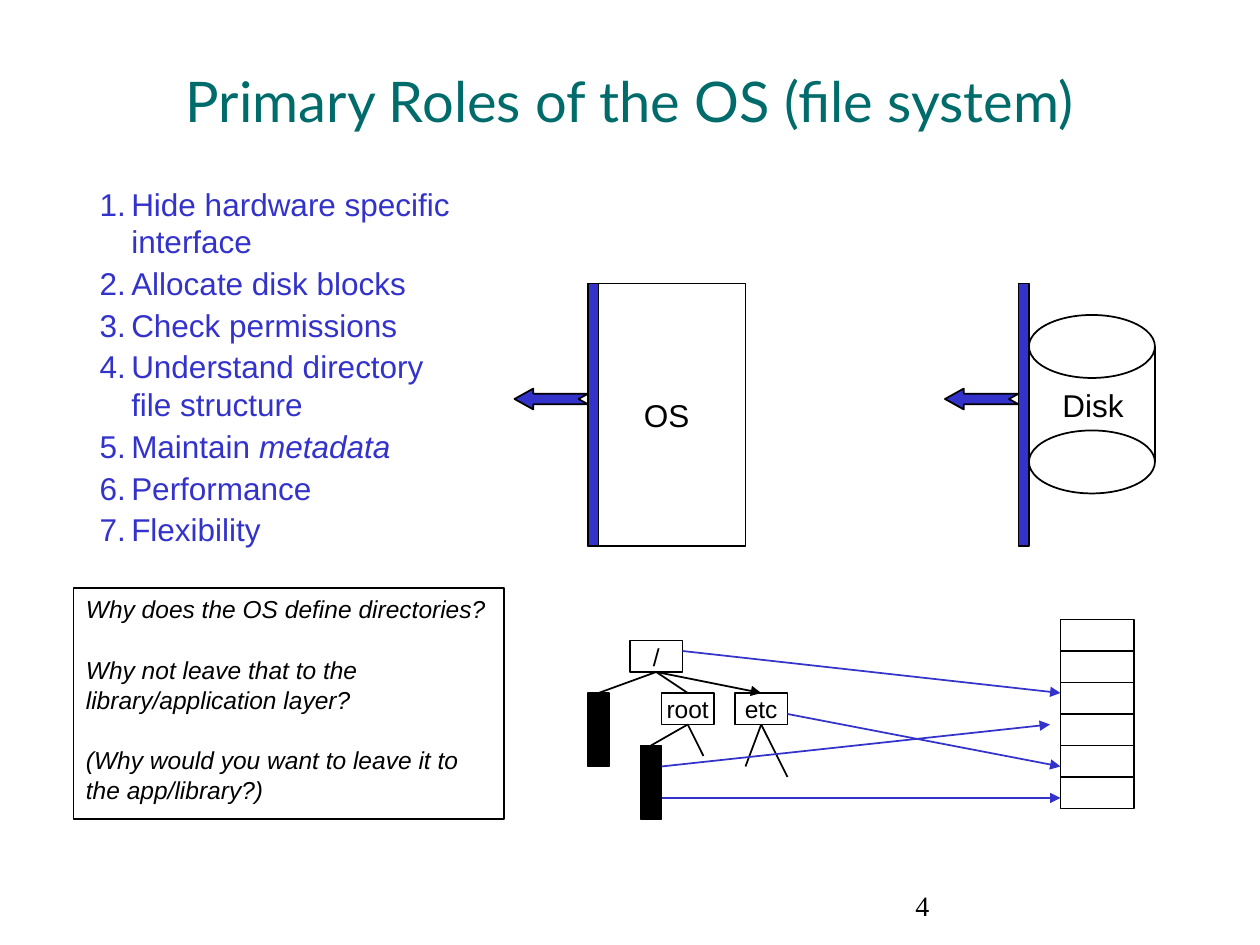
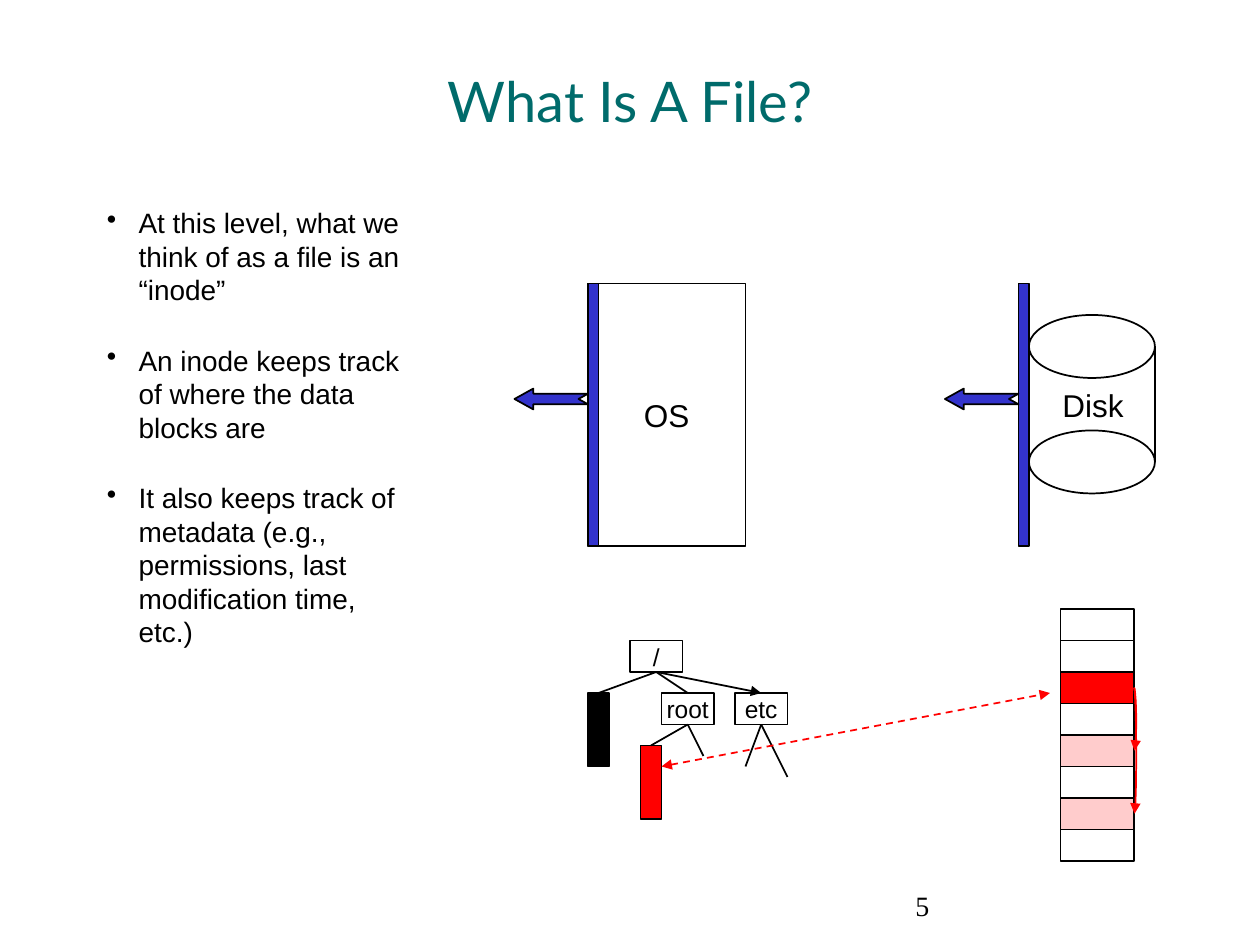
from lxml.etree import SubElement
from pptx import Presentation
from pptx.dml.color import RGBColor
from pptx.enum.dml import MSO_LINE
from pptx.enum.shapes import MSO_CONNECTOR, MSO_SHAPE
from pptx.enum.text import MSO_ANCHOR, PP_ALIGN
from pptx.oxml.ns import qn
from pptx.util import Cm, Pt

BLACK = RGBColor(0x00, 0x00, 0x00)
TEAL = RGBColor(0x00, 0x6B, 0x6B)
BLUE = RGBColor(0x33, 0x33, 0xCC)
RED = RGBColor(0xFF, 0x00, 0x00)
PINK = RGBColor(0xFF, 0xCC, 0xCC)
GRID = 2.54 / 12  # all places count in twelfths of an inch
TOP, BOTTOM = 0, 2


def box(s, x, y, w, h, paras=(), size=18, color=BLACK, fill=None, kind=MSO_SHAPE.RECTANGLE,
        font="Arial", align=PP_ALIGN.CENTER, wrap=False, gap=0, bullet=None, weight=1):
    """Draw a shape, or a text box when kind is None; *text* is italic."""
    place = [Cm(v * GRID) for v in (x, y, w, h)]
    if kind is None:
        sp = s.shapes.add_textbox(*place)
    else:
        sp = s.shapes.add_shape(kind, *place)
        sp.shadow.inherit = False
        sp.line.color.rgb = BLACK
        sp.line.width = Pt(weight)
        if fill is None:
            sp.fill.background()
        else:
            sp.fill.solid()
            sp.fill.fore_color.rgb = fill
    tf = sp.text_frame
    tf.word_wrap = wrap
    for i, para in enumerate(paras):
        p = tf.add_paragraph() if i else tf.paragraphs[0]
        if bullet:
            pPr = p._p.get_or_add_pPr()
            pPr.set("marL", str(Cm(0.64)))
            pPr.set("indent", str(-Cm(0.64)))
            tag, key, value = bullet
            SubElement(pPr, qn(tag)).set(key, value)
        p.alignment = align
        if i:
            p.space_before = Pt(gap)
        for j, part in enumerate(para.split("*")):
            if part:
                r = p.add_run()
                r.text = part
                r.font.name, r.font.size = font, Pt(size)
                r.font.color.rgb = color
                r.font.italic = j % 2 == 1
    return sp


def line(s, x1, y1, x2, y2, color=BLACK, ends=(), weight=1, kind=MSO_CONNECTOR.STRAIGHT):
    c = s.shapes.add_connector(kind, *[Cm(v * GRID) for v in (x1, y1, x2, y2)])
    c.line.color.rgb = color
    c.line.width = Pt(weight)
    spPr = c._element.spPr
    for end in ends:
        SubElement(spPr.find(qn("a:ln")), qn(end)).set("type", "triangle")
    SubElement(spPr, qn("a:effectLst"))
    return c


prs = Presentation()
prs.slide_width, prs.slide_height = Cm(25.4), Cm(19.05)

# Parts that both slides share
slides = []
for number, title, file_color in ((4, "Primary Roles of the OS (file system)", BLACK),
                                  (5, "What Is A File?", RED)):
    s = prs.slides.add_slide(prs.slide_layouts[5])
    slides.append(s)
    sp = s.shapes.title
    sp.left, sp.top, sp.width, sp.height = Cm(1.9), Cm(1.06), Cm(21.6), Cm(1.9)
    tf = sp.text_frame
    tf.vertical_anchor = MSO_ANCHOR.MIDDLE
    p = tf.paragraphs[0]
    p.alignment = PP_ALIGN.CENTER
    r = p.add_run()
    r.text = title
    r.font.name, r.font.size = "Lato", Pt(32)
    r.font.color.rgb = TEAL

    # OS and disk, each behind a blue interface bar
    box(s, 56, 27, 15, 25, ["OS"])
    for y in (30, 41):
        box(s, 98, y, 12, 6, kind=MSO_SHAPE.OVAL)
    for x in (98, 110):
        line(s, x, 33, x, 44)
    box(s, 100, 36.2, 8.2, 4.8, ["Disk"], kind=None)
    for bar_x in (56, 97):
        box(s, bar_x, 27, 1, 25, fill=BLUE)
        # Notched arrow pointing left from the bar
        pts = [(Cm((bar_x - 7 + dx) * GRID), Cm((38 + dy) * GRID)) for dx, dy in
               ((7, -0.5), (1.8, -0.5), (1.8, -1), (0, 0), (1.8, 1), (1.8, 0.5), (7, 0.5), (6.1, 0))]
        fb = s.shapes.build_freeform(*pts[0])
        fb.add_line_segments(pts[1:])
        arrow = fb.convert_to_shape()
        arrow.shadow.inherit = False
        arrow.fill.solid()
        arrow.fill.fore_color.rgb = BLUE
        arrow.line.color.rgb = BLACK
        arrow.line.width = Pt(1)

    # Directory tree
    slash = box(s, 60, 61, 5, 3, ["/"], 14)
    etc = box(s, 70, 66, 5, 3, ["etc"], 14)
    root = box(s, 63, 66, 5, 3, ["root"], 14)
    top_file = box(s, 56, 66, 2, 7, fill=BLACK)
    root_file = box(s, 61, 71, 2, 7, fill=file_color)
    for parent, child, ends in ((slash, top_file, ()), (slash, root, ()),
                                (slash, etc, ("a:tailEnd",)), (root, root_file, ())):
        c = line(s, 0, 0, 1, 1, ends=ends)
        c.begin_connect(parent, BOTTOM)
        c.end_connect(child, TOP)
    for parent, x, y in ((root, 67, 72), (etc, 71, 73), (etc, 75, 74)):
        c = line(s, 65, 69, x, y)
        c.begin_connect(parent, BOTTOM)

    # Slide number
    box(s, 86, 84, 25, 6, [str(number)], 16, kind=None, font="Times New Roman",
        align=PP_ALIGN.LEFT, wrap=True)

roles, inode = slides

# Roles: disk blocks and the pointers to them
box(roles, 101, 59, 7, 18)
for y in range(62, 77, 3):
    line(roles, 101, y, 108, y)
for x1, y1, x2, y2, weight in ((65, 62, 101, 66, 1), (75, 68, 101, 73, 1),
                               (63, 73, 100, 69, 1), (63, 76, 101, 76, 0.75)):
    line(roles, x1, y1, x2, y2, BLUE, ("a:tailEnd",), weight)

# Roles: numbered list and questions
box(roles, 8.3, 17, 36.7, 37,
    ["Hide hardware specific interface", "Allocate disk blocks", "Check permissions",
     "Understand directory file structure", "Maintain *metadata*", "Performance", "Flexibility"],
    color=BLUE, kind=None, align=PP_ALIGN.LEFT, wrap=True, gap=2.2,
    bullet=("a:buAutoNum", "type", "arabicPeriod"))
questions = box(roles, 7, 56, 41, 22,
                ["*Why does the OS define directories?*",
                 "*Why not leave that to the library/application layer?*",
                 "*(Why would you want to leave it to the app/library?)*"],
                14, align=PP_ALIGN.LEFT, wrap=True, gap=18, weight=0.75)
questions.text_frame.vertical_anchor = MSO_ANCHOR.TOP

# Inode: link from the file to its inode block
link = line(inode, 63, 73, 100, 66, RED, ("a:headEnd", "a:tailEnd"))
link.line.dash_style = MSO_LINE.DASH

# Inode: disk blocks, with curves from the inode to its data
fills = {2: RED, 4: PINK, 6: PINK}
for i in range(8):
    box(inode, 101, 58 + 3 * i, 7, 3, fill=fills.get(i))
for y in (71.5, 77.5):
    c = line(inode, 108, 65.5, 108.05, y, RED, ("a:tailEnd",), kind=MSO_CONNECTOR.CURVE)
    guides = c._element.spPr.find(qn("a:prstGeom")).get_or_add_avLst()
    gd = SubElement(guides, qn("a:gd"))
    gd.set("name", "adj1")
    gd.set("fmla", "val 400000")

# Inode: bullets
box(inode, 9, 19, 31, 48,
    ["At this level, what we think of as a file is an “inode”",
     "An inode keeps track of where the data blocks are",
     "It also keeps track of metadata (e.g., permissions, last modification time, etc.)"],
    16, kind=None, align=PP_ALIGN.LEFT, wrap=True, gap=21,
    bullet=("a:buChar", "char", "•"))

prs.save("out.pptx")
